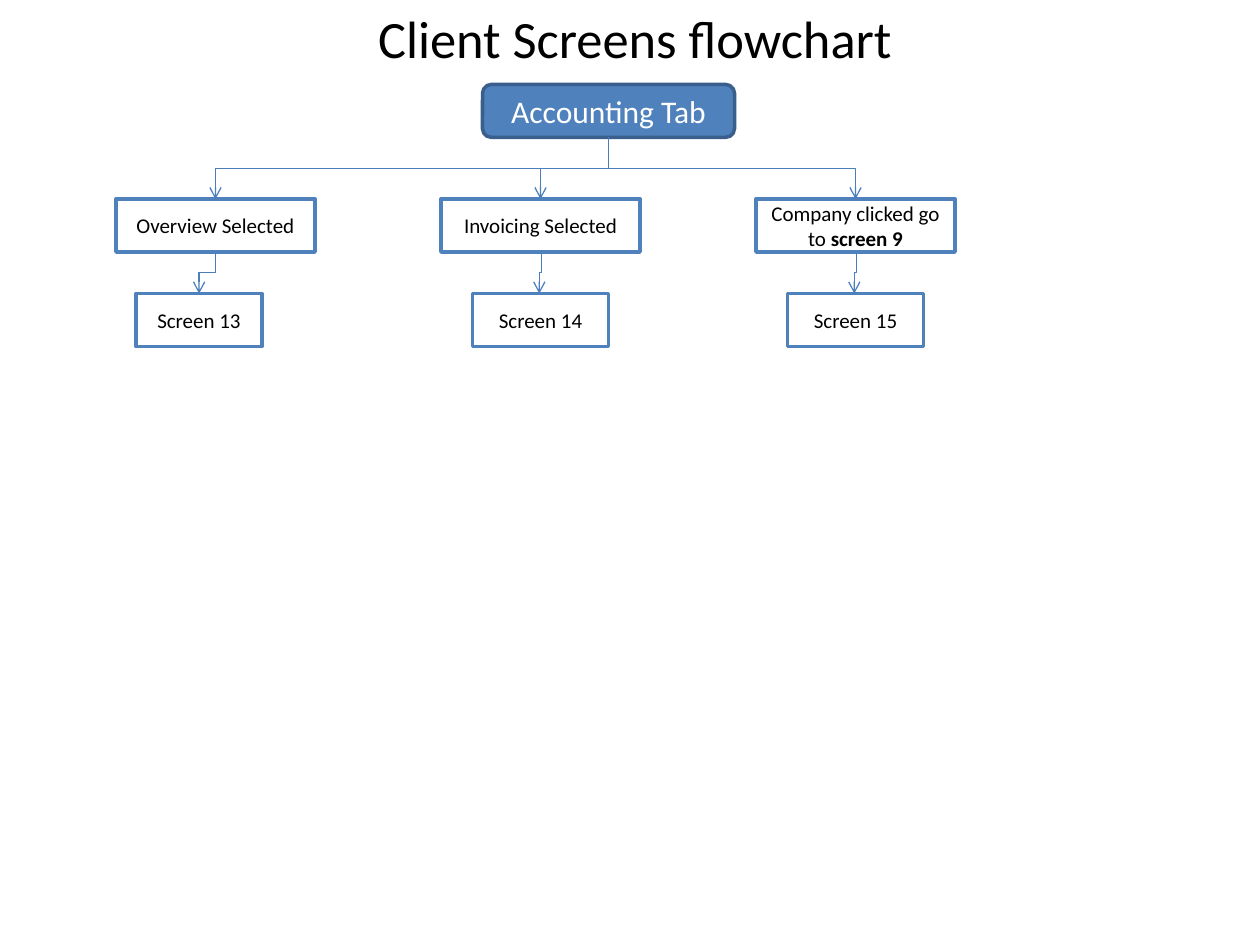
"""Build the flowchart of the client screens behind the Accounting tab."""
from lxml.etree import SubElement
from pptx import Presentation
from pptx.dml.color import RGBColor
from pptx.enum.shapes import MSO_CONNECTOR, MSO_SHAPE
from pptx.enum.text import MSO_ANCHOR, MSO_AUTO_SIZE, PP_ALIGN
from pptx.oxml.ns import qn
from pptx.util import Inches, Pt

BLACK = RGBColor(0x00, 0x00, 0x00)
WHITE = RGBColor(0xFF, 0xFF, 0xFF)
BLUE = RGBColor(0x4F, 0x81, 0xBD)
DARK_BLUE = RGBColor(0x3A, 0x5F, 0x8C)
ARROW_BLUE = RGBColor(0x4B, 0x7E, 0xBC)

FONT = "Calibri"
BOX_HEIGHT = 0.42
TAB_TOP, CHOICE_TOP, SCREEN_TOP = 0.67, 1.58, 2.33
CHOICE_WIDTH = 1.58

BRANCHES = [
    (0.92, [("Overview Selected", False)], 1.08, 1, "Screen 13", 0),
    (3.5, [("Invoicing Selected", False)], 3.75, 1.08, "Screen 14", 0.01),
    (6, [("Company clicked go to ", False), ("screen 9", True)],
     6.25, 1.08, "Screen 15", 0.01),
]


def write(frame, runs, size, color):
    paragraph = frame.paragraphs[0]
    paragraph.alignment = PP_ALIGN.CENTER
    for text, bold in runs:
        run = paragraph.add_run()
        run.text = text
        run.font.name = FONT
        run.font.size = Pt(size)
        run.font.bold = bold
        run.font.color.rgb = color


def add_title(slide, text):
    title = slide.shapes.add_textbox(Inches(2.88), 0, Inches(4.32), Inches(0.61))
    title.text_frame.word_wrap = False
    title.text_frame.auto_size = MSO_AUTO_SIZE.SHAPE_TO_FIT_TEXT
    write(title.text_frame, [(text, False)], 30, BLACK)


def add_step(slide, left, top, width, runs, kind=MSO_SHAPE.FLOWCHART_PROCESS,
             fill=WHITE, outline=BLUE, size=12, color=BLACK):
    step = slide.shapes.add_shape(
        kind, Inches(left), Inches(top), Inches(width), Inches(BOX_HEIGHT))
    step.shadow.inherit = False
    step.fill.solid()
    step.fill.fore_color.rgb = fill
    step.line.color.rgb = outline
    step.line.width = Pt(2)
    step.text_frame.word_wrap = True
    step.text_frame.vertical_anchor = MSO_ANCHOR.MIDDLE
    write(step.text_frame, runs, size, color)
    return step


def add_elbow_arrow(slide, parent, child, jog=0):
    start_x = parent.left + parent.width // 2 + Inches(jog)
    end_x = child.left + child.width // 2 - Inches(jog)
    start_y = parent.top + parent.height
    drop, shift = child.top - start_y, abs(end_x - start_x)
    arrow = slide.shapes.add_connector(MSO_CONNECTOR.ELBOW, 0, 0, drop, shift)
    if not jog:
        arrow.begin_connect(parent, 2)
        arrow.end_connect(child, 0)
    arrow.left = (start_x + end_x - drop) // 2
    arrow.top = (start_y + child.top - shift) // 2
    arrow.width, arrow.height = drop, shift

    properties = arrow._element.spPr
    frame = properties.find(qn("a:xfrm"))
    goes_right = end_x > start_x
    frame.set("rot", str((270 if goes_right else 90) * 60000))
    frame.set("flipH", "1" if goes_right else "0")
    frame.set("flipV", "0")
    arrow.line.color.rgb = ARROW_BLUE
    arrow.line.width = Pt(0.75)
    SubElement(properties.find(qn("a:ln")), qn("a:tailEnd"), type="arrow")
    SubElement(properties, qn("a:effectLst"))


def main():
    deck = Presentation()
    deck.slide_width, deck.slide_height = Inches(10), Inches(7.5)
    slide = deck.slides.add_slide(deck.slide_layouts[6])
    tab = add_step(slide, 3.83, TAB_TOP, 2, [("Accounting Tab", False)],
                   MSO_SHAPE.FLOWCHART_ALTERNATE_PROCESS, BLUE, DARK_BLUE, 18, WHITE)
    add_title(slide, "Client Screens flowchart")
    for choice_left, runs, screen_left, screen_width, name, jog in BRANCHES:
        choice = add_step(slide, choice_left, CHOICE_TOP, CHOICE_WIDTH, runs)
        screen = add_step(slide, screen_left, SCREEN_TOP, screen_width, [(name, False)])
        add_elbow_arrow(slide, tab, choice)
        add_elbow_arrow(slide, choice, screen, jog)
    deck.save("out.pptx")


if __name__ == "__main__":
    main()
